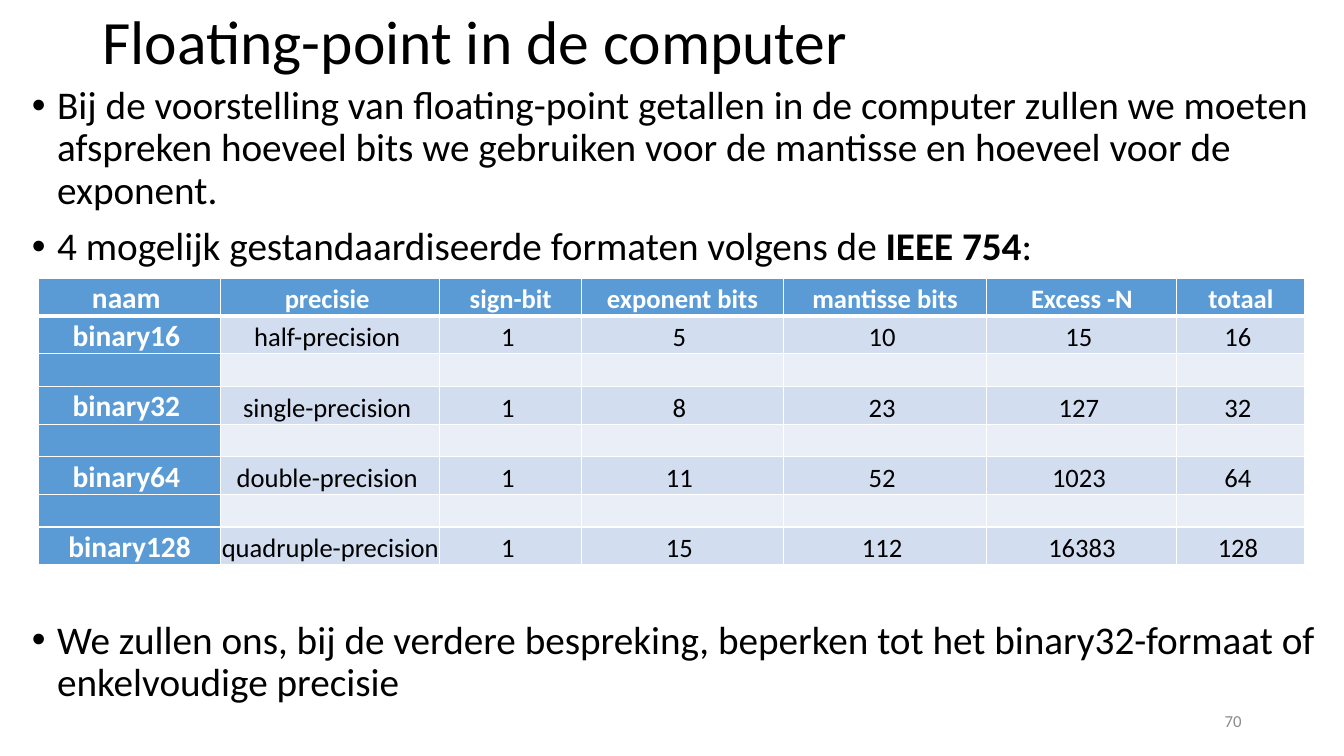
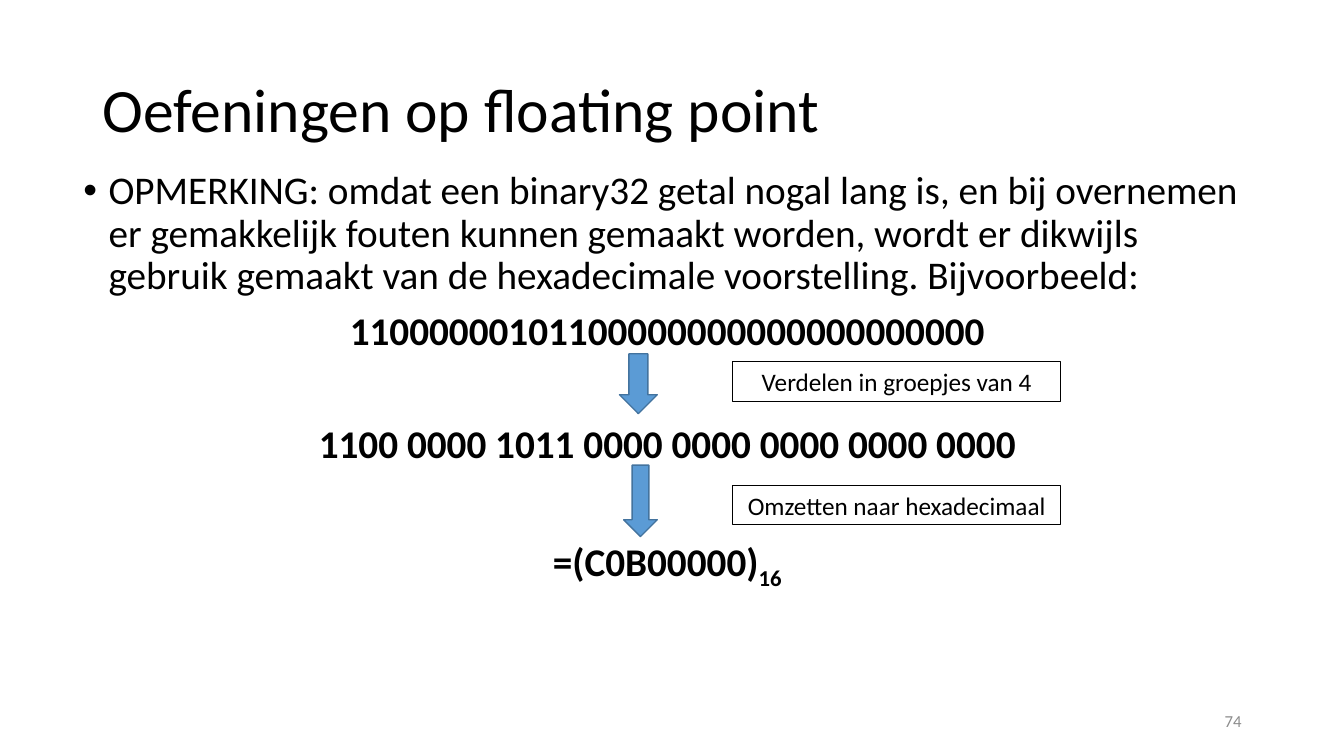
from dataclasses import dataclass

import lxml.etree
import pptx
import pptx.dml.color
import pptx.enum.shapes
import pptx.enum.text
import pptx.oxml.ns
import pptx.presentation
import pptx.shapes.autoshape
import pptx.slide
import pptx.table
import pptx.text.text
import pptx.util

RGBColor = pptx.dml.color.RGBColor
Align = pptx.enum.text.PP_ALIGN
Anchor = pptx.enum.text.MSO_ANCHOR

FONT = "Calibri"
BLACK = RGBColor(0x00, 0x00, 0x00)
WHITE = RGBColor(0xFF, 0xFF, 0xFF)
GRAY = RGBColor(0x8C, 0x8C, 0x8C)
BLUE = RGBColor(0x5B, 0x9B, 0xD5)
DARK_BLUE = RGBColor(0x43, 0x73, 0x9E)
BAND = RGBColor(0xD2, 0xDE, 0xEF)
PALE_BAND = RGBColor(0xEA, 0xEF, 0xF7)

EMU_PER_PX = 9525
TITLE_ONLY = 5
INDENT = 24
BODY_SIZE = 28

COLUMN_WIDTHS = (173, 209, 135, 192, 194, 181, 122)
FORMATS = (
    ("naam ", "precisie ", "sign-bit", "exponent bits", "mantisse bits", "Excess -N", "totaal"),
    ("binary16 ", "half-precision ", "1 ", "5 ", "10 ", "15 ", "16 "),
    ("",) * 7,
    ("binary32 ", "single-precision ", "1 ", "8 ", "23 ", "127 ", "32 "),
    ("",) * 7,
    ("binary64 ", "double-precision ", "1 ", "11 ", "52 ", "1023 ", "64 "),
    ("",) * 7,
    ("binary128", "quadruple-precision", "1 ", "15 ", "112 ", "16383", "128 "),
)


@dataclass(frozen=True)
class Box:
    left: int
    top: int
    width: int
    height: int

    def emu(self) -> tuple[int, int, int, int]:
        return px(self.left), px(self.top), px(self.width), px(self.height)


@dataclass(frozen=True)
class Span:
    text: str
    bold: bool = False
    subscript: bool = False


@dataclass(frozen=True)
class BodyParagraph:
    spans: tuple[Span, ...]
    space_before: int = 10
    bullet: bool = True


@dataclass(frozen=True)
class Step:
    label: str
    label_box: Box
    arrow_box: Box


STEPS = (
    Step("Verdelen in groepjes van 4", Box(698, 344, 312, 38), Box(590, 337, 36, 57)),
    Step("Omzetten naar hexadecimaal", Box(698, 462, 312, 38), Box(594, 443, 32, 68)),
)


def px(value: int) -> int:
    return pptx.util.Emu(value * EMU_PER_PX)


def write(
    paragraph: pptx.text.text._Paragraph,
    text: str,
    *,
    size: int,
    color: RGBColor = BLACK,
    bold: bool = False,
    subscript: bool = False,
    align: Align = Align.LEFT,
    line_spacing: float = 1.0,
) -> None:
    paragraph.alignment = align
    paragraph.line_spacing = line_spacing
    run = paragraph.add_run()
    run.text = text
    run.font.name = FONT
    run.font.size = pptx.util.Pt(size)
    run.font.bold = bold
    run.font.color.rgb = color
    if subscript:
        run._r.get_or_add_rPr().set("baseline", "-25000")


def add_text_box(
    slide: pptx.slide.Slide, box: Box, anchor: Anchor = Anchor.TOP
) -> pptx.shapes.autoshape.Shape:
    shape = slide.shapes.add_textbox(*box.emu())
    shape.text_frame.word_wrap = True
    shape.text_frame.vertical_anchor = anchor
    return shape


def add_titled_slide(
    presentation: pptx.presentation.Presentation, title: str, title_top: int, number: int
) -> pptx.slide.Slide:
    slide = presentation.slides.add_slide(presentation.slide_layouts[TITLE_ONLY])
    shape = slide.shapes.title
    shape.left, shape.top, shape.width, shape.height = Box(88, title_top, 1104, 139).emu()
    frame = shape.text_frame
    frame.word_wrap = True
    frame.auto_size = pptx.enum.text.MSO_AUTO_SIZE.NONE
    frame.vertical_anchor = Anchor.MIDDLE
    write(frame.paragraphs[0], title, size=44, line_spacing=0.9)
    number_box = add_text_box(slide, Box(904, 667, 288, 38), Anchor.MIDDLE)
    write(number_box.text_frame.paragraphs[0], str(number), size=12, color=GRAY, align=Align.RIGHT)
    return slide


def add_bullet(paragraph: pptx.text.text._Paragraph) -> None:
    properties = paragraph._p.get_or_add_pPr()
    properties.set("marL", str(px(INDENT)))
    properties.set("indent", str(-px(INDENT)))
    font = lxml.etree.SubElement(properties, pptx.oxml.ns.qn("a:buFont"))
    font.set("typeface", "Arial")
    bullet = lxml.etree.SubElement(properties, pptx.oxml.ns.qn("a:buChar"))
    bullet.set("char", "•")


def add_body(slide: pptx.slide.Slide, box: Box, items: tuple[BodyParagraph, ...]) -> None:
    frame = add_text_box(slide, box).text_frame
    for index, item in enumerate(items):
        paragraph = frame.add_paragraph() if index else frame.paragraphs[0]
        if item.bullet:
            add_bullet(paragraph)
        if index:
            paragraph.space_before = pptx.util.Pt(item.space_before)
        for span in item.spans:
            write(
                paragraph,
                span.text,
                size=BODY_SIZE,
                bold=span.bold,
                subscript=span.subscript,
                align=Align.LEFT if item.bullet else Align.CENTER,
                line_spacing=0.9,
            )


def set_borders(cell: pptx.table._Cell, top: int, bottom: int) -> None:
    properties = cell._tc.get_or_add_tcPr()
    for side, width in (("L", 1), ("R", 1), ("T", top), ("B", bottom)):
        line = lxml.etree.SubElement(properties, pptx.oxml.ns.qn(f"a:ln{side}"))
        line.set("w", str(pptx.util.Pt(width)))
        fill = lxml.etree.SubElement(line, pptx.oxml.ns.qn("a:solidFill"))
        lxml.etree.SubElement(fill, pptx.oxml.ns.qn("a:srgbClr")).set("val", str(WHITE))


def add_format_table(slide: pptx.slide.Slide) -> None:
    heights = [36 if row[0] else 31 for row in FORMATS]
    box = Box(37, 265, sum(COLUMN_WIDTHS), sum(heights))
    table = slide.shapes.add_table(len(FORMATS), len(COLUMN_WIDTHS), *box.emu()).table
    for column, width in zip(table.columns, COLUMN_WIDTHS):
        column.width = px(width)
    for row_index, (row, height) in enumerate(zip(FORMATS, heights)):
        table.rows[row_index].height = px(height)
        for column_index, text in enumerate(row):
            cell = table.cell(row_index, column_index)
            heading = row_index == 0 or column_index == 0
            set_borders(cell, 3 if row_index == 1 else 1, 3 if row_index == 0 else 1)
            cell.fill.solid()
            cell.fill.fore_color.rgb = BLUE if heading else BAND if text else PALE_BAND
            cell.margin_left = cell.margin_right = cell.margin_top = cell.margin_bottom = 0
            cell.vertical_anchor = Anchor.BOTTOM
            if text:
                write(
                    cell.text_frame.paragraphs[0],
                    text,
                    size=21 if column_index == 0 else 19,
                    color=WHITE if heading else BLACK,
                    bold=heading,
                    align=Align.CENTER,
                    line_spacing=1.07,
                )


def add_step(slide: pptx.slide.Slide, step: Step) -> None:
    label = add_text_box(slide, step.label_box)
    label.line.color.rgb = BLACK
    label.line.width = pptx.util.Pt(0.75)
    write(label.text_frame.paragraphs[0], step.label, size=18, align=Align.CENTER)
    arrow = slide.shapes.add_shape(
        pptx.enum.shapes.MSO_SHAPE.DOWN_ARROW, *step.arrow_box.emu()
    )
    arrow.shadow.inherit = False
    arrow.fill.solid()
    arrow.fill.fore_color.rgb = BLUE
    arrow.line.color.rgb = DARK_BLUE
    arrow.line.width = pptx.util.Pt(1)


def build_formats_slide(presentation: pptx.presentation.Presentation) -> None:
    slide = add_titled_slide(presentation, "Floating-point in de computer", -27, 70)
    add_body(slide, Box(21, 77, 1259, 629), (
        BodyParagraph((Span(
            "Bij de voorstelling van floating-point getallen in de computer zullen we moeten "
            "afspreken hoeveel bits we gebruiken voor de mantisse en hoeveel voor de exponent."
        ),)),
        BodyParagraph((
            Span("4 mogelijk gestandaardiseerde formaten volgens de "),
            Span("IEEE 754", bold=True),
            Span(":"),
        )),
        BodyParagraph((Span(
            "We zullen ons, bij de verdere bespreking, beperken tot het binary32-formaat of "
            "enkelvoudige precisie"
        ),), space_before=251),
    ))
    add_format_table(slide)


def build_exercise_slide(presentation: pptx.presentation.Presentation) -> None:
    slide = add_titled_slide(presentation, "Oefeningen op floating point", 38, 74)
    add_body(slide, Box(70, 158, 1131, 537), (
        BodyParagraph((Span(
            "OPMERKING: omdat een binary32 getal nogal lang is, en bij overnemen er gemakkelijk "
            "fouten kunnen gemaakt worden, wordt er dikwijls gebruik gemaakt van de hexadecimale "
            "voorstelling. Bijvoorbeeld:"
        ),)),
        BodyParagraph((Span("11000000101100000000000000000000", bold=True),), bullet=False),
        BodyParagraph(
            (Span("1100 0000 1011 0000 0000 0000 0000 0000", bold=True),),
            space_before=50,
            bullet=False,
        ),
        BodyParagraph(
            (Span("=(C0B00000)", bold=True), Span("16", bold=True, subscript=True)),
            space_before=51,
            bullet=False,
        ),
    ))
    for step in STEPS:
        add_step(slide, step)


def main() -> None:
    presentation = pptx.Presentation()
    presentation.slide_width = px(1280)
    presentation.slide_height = px(720)
    build_formats_slide(presentation)
    build_exercise_slide(presentation)
    presentation.save("out.pptx")


if __name__ == "__main__":
    main()
